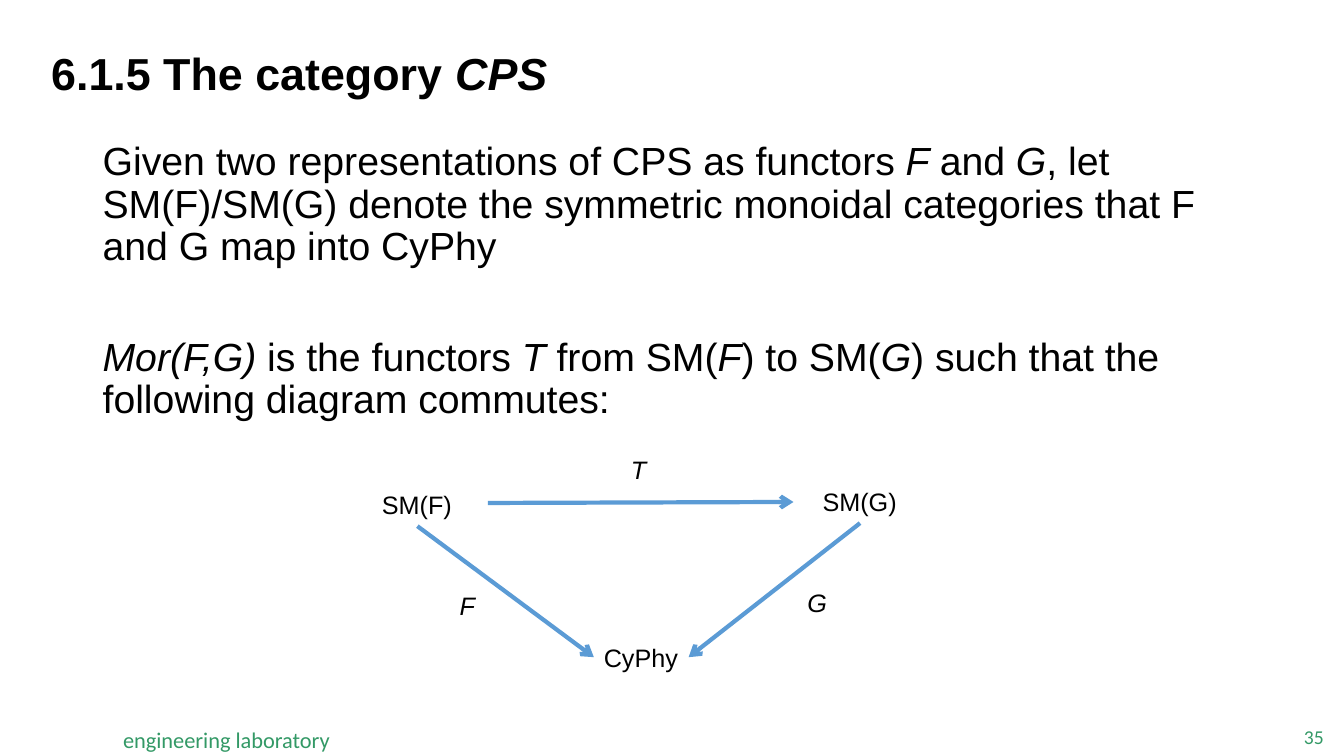
from pptx import Presentation
from pptx.util import Inches, Pt
from pptx.dml.color import RGBColor
from pptx.enum import shapes, text as txt
from pptx.oxml.ns import qn
from lxml import etree

BLACK = RGBColor(0x00, 0x00, 0x00)
GREEN = RGBColor(0x33, 0x99, 0x66)
BLUE = RGBColor(0x5B, 0x9B, 0xD5)

TITLE = "6.1.5 The category *CPS*"
BODY = [
    "Given two representations of CPS as functors *F *and *G*, let SM(F)/SM(G) denote "
    "the symmetric monoidal categories that F and G map into CyPhy",
    "*Mor(F,G) *is the functors *T* from SM(*F*) to SM(*G*) such that the following "
    "diagram commutes:",
]
LABELS = [
    ("SM(F)", 3.69, 4.81, 0.9),
    ("SM(G)", 8.06, 4.78, 0.95),
    ("CyPhy", 5.89, 6.32, 0.95),
    ("*F*", 4.46, 5.81, 0.41),
    ("*G*", 7.91, 5.78, 0.46),
    ("*T*", 6.16, 4.46, 0.42),
]
ARROWS = [
    (4.84, 4.99, 7.87, 4.98),
    (8.53, 5.19, 6.83, 6.52),
    (4.14, 5.22, 5.89, 6.52),
]

deck = Presentation()
deck.slide_width, deck.slide_height = Inches(13.33), Inches(7.5)
slide = deck.slides.add_slide(deck.slide_layouts[6])


def write(lines, box, size=18, font="Arial", color=BLACK, bold=False, wrap=False,
          mid=False, inset=True, align=txt.PP_ALIGN.LEFT, pitch=1.0, gap=0):
    frame = slide.shapes.add_textbox(*map(Inches, box)).text_frame
    frame.word_wrap = wrap
    frame.auto_size = txt.MSO_AUTO_SIZE.NONE if wrap else txt.MSO_AUTO_SIZE.SHAPE_TO_FIT_TEXT
    if mid:
        frame.vertical_anchor = txt.MSO_ANCHOR.MIDDLE
    if not inset:
        frame.margin_left = frame.margin_right = frame.margin_top = frame.margin_bottom = 0
    for row, line in enumerate(lines):
        para = frame.add_paragraph() if row else frame.paragraphs[0]
        para.alignment = align
        para.line_spacing = pitch
        if row:
            para.space_before = Pt(gap)
        for turn, part in enumerate(line.split("*")):
            if part:
                run = para.add_run()
                run.text = part
                run.font.name, run.font.size = font, Pt(size)
                run.font.bold, run.font.italic = bold, turn % 2 == 1
                run.font.color.rgb = color


def arrow(ends):
    line = slide.shapes.add_connector(shapes.MSO_CONNECTOR.STRAIGHT, *map(Inches, ends))
    line.line.color.rgb = BLUE
    line.line.width = Pt(3)
    etree.SubElement(line.line._get_or_add_ln(), qn("a:tailEnd"), type="arrow")
    etree.SubElement(line._element.spPr, qn("a:effectLst"))


write(["engineering laboratory"], (1.22, 7.2, 2.08, 0.27), size=16, font="Calibri",
      color=GREEN, inset=False)
write([TITLE], (0.41, 0.36, 11.5, 0.78), size=32, bold=True, wrap=True, mid=True, pitch=0.9)
write(BODY, (0.92, 1.36, 11.5, 3.11), size=28, wrap=True, pitch=0.9, gap=49)
write(["35"], (12.51, 7.18, 0.62, 0.26), size=14, font="Calibri", color=GREEN,
      wrap=True, mid=True, inset=False, align=txt.PP_ALIGN.RIGHT)
for ends in ARROWS:
    arrow(ends)
for label, *box in LABELS:
    write([label], (*box, 0.4))

deck.save("out.pptx")
